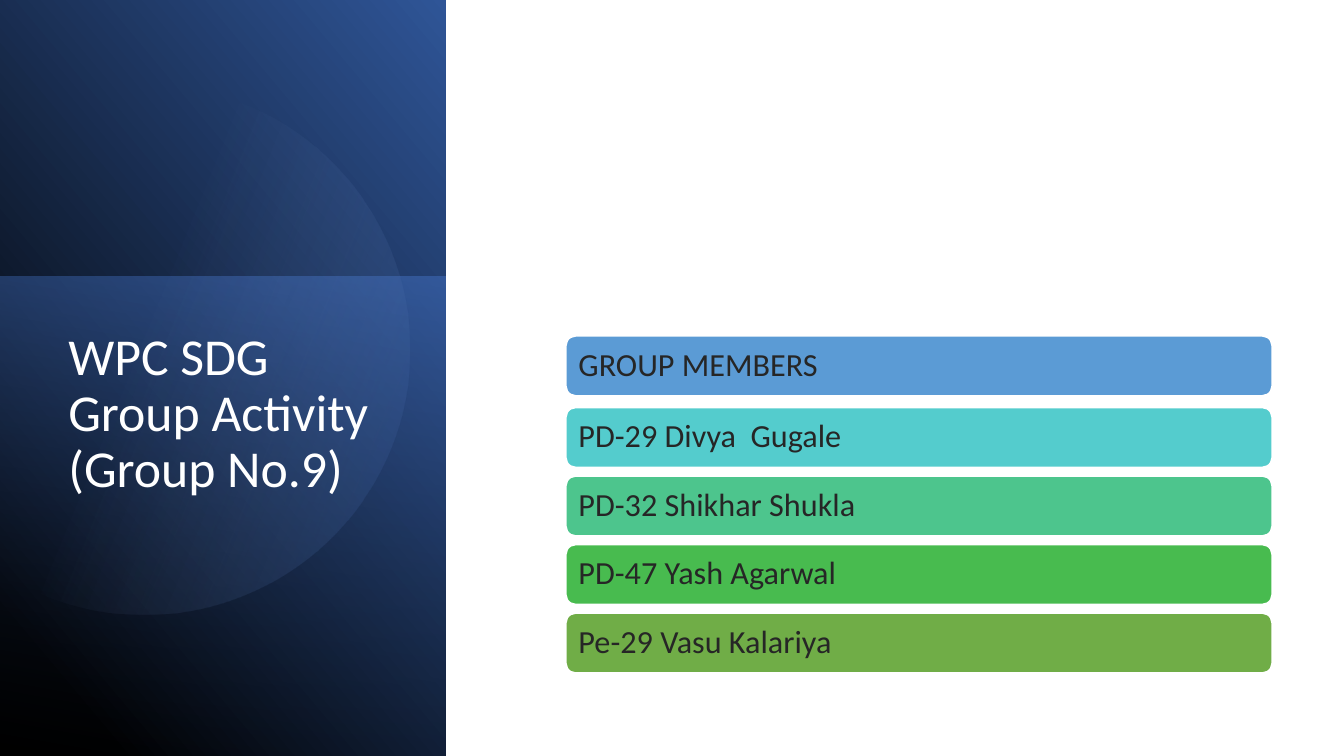
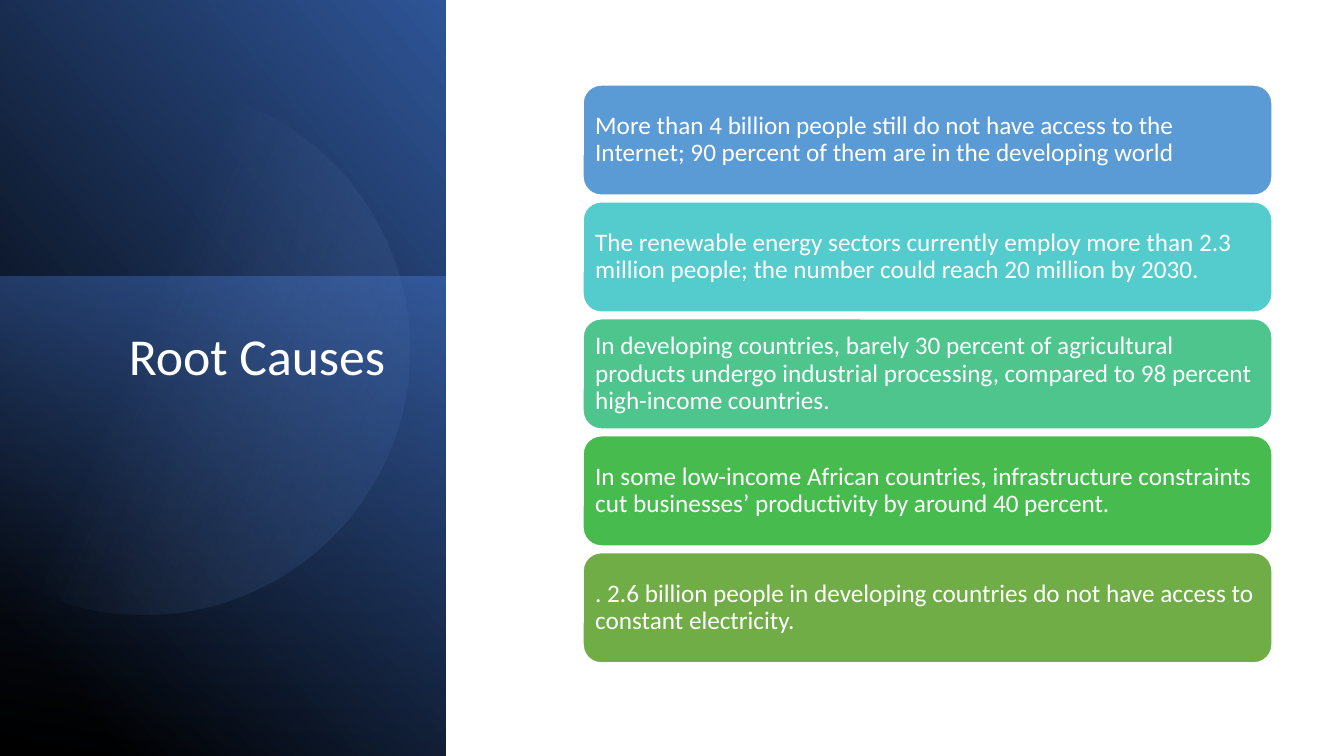
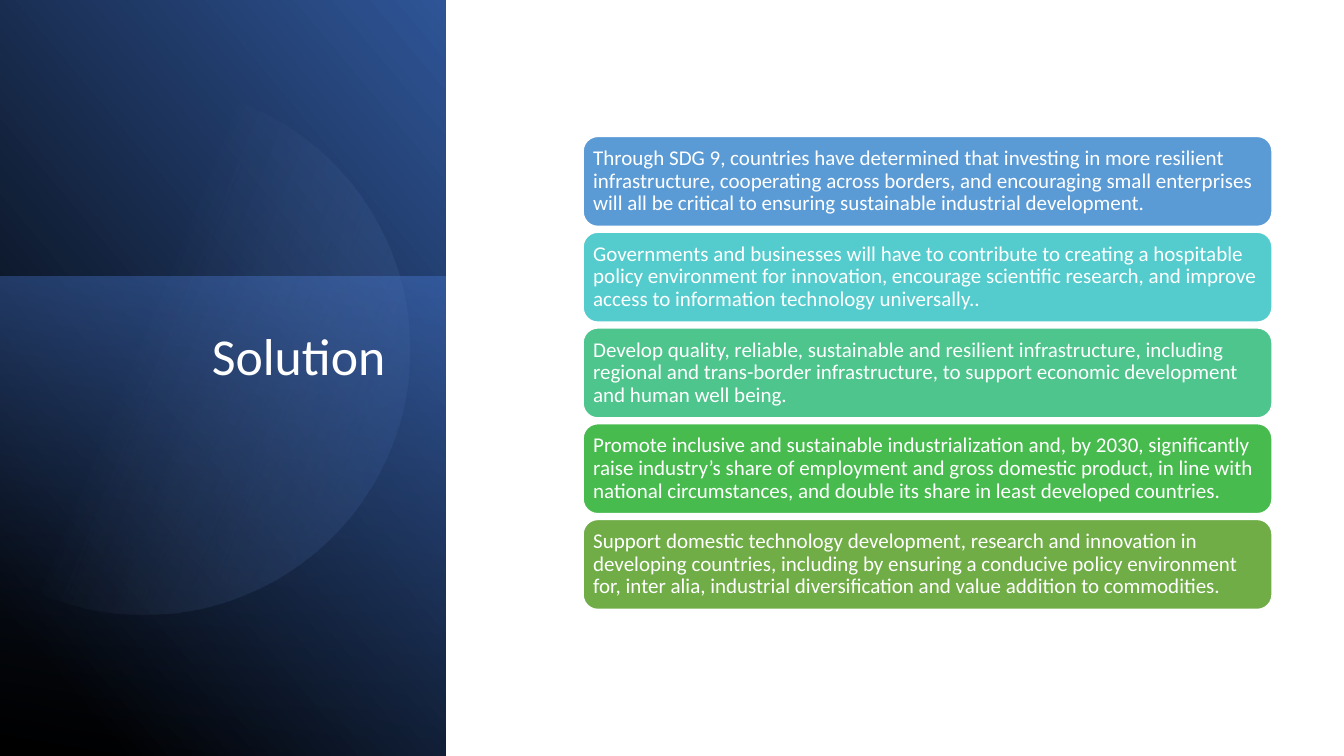
from dataclasses import dataclass
from math import acos, cos, sin

from lxml.etree import SubElement
from pptx import Presentation
from pptx.dml.color import RGBColor as RGB
from pptx.enum.shapes import MSO_SHAPE as Kind
from pptx.enum.text import MSO_ANCHOR as Anchor, PP_ALIGN as Align
from pptx.oxml.ns import qn
from pptx.shapes.autoshape import Shape
from pptx.slide import Slide
from pptx.text.text import TextFrame
from pptx.util import Emu, Pt

SCALE = 9144  # EMU per px, 100 px to the inch
FONT = "Calibri"

WHITE = RGB(0xFF, 0xFF, 0xFF)
BLACK = RGB(0x00, 0x00, 0x00)
INK = RGB(0x26, 0x26, 0x26)
NAVY = RGB(0x20, 0x38, 0x64)
DEEP = RGB(0x2F, 0x55, 0x97)
BLUE = RGB(0x44, 0x72, 0xC4)
PALE = RGB(0x8F, 0xAA, 0xDC)
BARS = (
    RGB(0x5B, 0x9B, 0xD5),
    RGB(0x54, 0xCC, 0xCD),
    RGB(0x4D, 0xC5, 0x8D),
    RGB(0x48, 0xBB, 0x4F),
    RGB(0x70, 0xAD, 0x47),
)


@dataclass(frozen=True)
class Stop:
    place: float
    color: RGB
    alpha: int = 100


@dataclass(frozen=True)
class Fade:
    """A linear gradient; the angle runs counter-clockwise."""
    angle: int
    start: Stop
    end: Stop


@dataclass(frozen=True)
class Pane:
    box: tuple[int, int, int, int]
    turn: int
    flip: bool
    fade: Fade


@dataclass(frozen=True)
class Stack:
    """Equal bars, with an extra gap (lead) after the first one."""
    left: int
    top: int
    width: int
    height: int
    pitch: int
    inset: int
    size: int
    ink: RGB = WHITE
    lead: int = 0


@dataclass(frozen=True)
class Page:
    title: str
    align: Align
    stack: Stack
    items: tuple[str, ...]


PANES = (
    Pane((-155, 155, 752, 442), 90, True,
         Fade(50, Stop(0.11, BLACK), Stop(1, DEEP))),
    Pane((-17, 291, 476, 442), 270, False,
         Fade(170, Stop(0, BLUE, 50), Stop(1, NAVY, 0))),
)
GLOW = Fade(338, Stop(0.39, PALE, 0), Stop(1, DEEP, 26))

PAGES = (
    Page(
        "WPC SDG Group Activity\n(Group No.9)", Align.LEFT,
        Stack(561, 333, 701, 60, 68, 10, 23, INK, 3),
        (
            "GROUP MEMBERS",
            "PD-29 Divya  Gugale",
            "PD-32 Shikhar Shukla",
            "PD-47 Yash Agarwal",
            "Pe-29 Vasu Kalariya",
        ),
    ),
    Page(
        "Root Causes", Align.RIGHT,
        Stack(578, 84, 684, 110, 116, 7, 18),
        (
            "More than 4 billion people still do not have access to the "
            "Internet; 90 percent of them are in the developing world",
            "The renewable energy sectors currently employ more than 2.3 "
            "million people; the number could reach 20 million by 2030.",
            "In developing countries, barely 30 percent of agricultural "
            "products undergo industrial processing, compared to 98 percent "
            "high-income countries.",
            "In some low-income African countries, infrastructure constraints "
            "cut businesses’ productivity by around 40 percent.",
            ". 2.6 billion people in developing countries do not have access "
            "to constant electricity.",
        ),
    ),
    Page(
        "Solution", Align.RIGHT,
        Stack(578, 135, 684, 90, 95, 6, 15),
        (
            "Through SDG 9, countries have determined that investing in more "
            "resilient infrastructure, cooperating across borders, and "
            "encouraging small enterprises will all be critical to ensuring "
            "sustainable industrial development.",
            "Governments and businesses will have to contribute to creating a "
            "hospitable policy environment for innovation, encourage "
            "scientific research, and improve access to information "
            "technology universally..",
            "Develop quality, reliable, sustainable and resilient "
            "infrastructure, including regional and trans-border "
            "infrastructure, to support economic development and human well "
            "being.",
            "Promote inclusive and sustainable industrialization and, by "
            "2030, significantly raise industry’s share of employment and "
            "gross domestic product, in line with national circumstances, and "
            "double its share in least developed countries.",
            "Support domestic technology development, research and innovation "
            "in developing countries, including by ensuring a conducive "
            "policy environment for, inter alia, industrial diversification "
            "and value addition to commodities.",
        ),
    ),
)


def px(*values: float) -> list[Emu]:
    return [Emu(round(value * SCALE)) for value in values]


def shade(shape: Shape, fade: Fade) -> None:
    """Give a shape a gradient and neither outline nor shadow."""
    shape.shadow.inherit = False
    shape.line.fill.background()
    shape.fill.gradient()
    shape.fill.gradient_angle = fade.angle
    stops = (fade.start, fade.end)
    for mark, stop in zip(shape.fill.gradient_stops, stops):
        mark.position = stop.place
        mark.color.rgb = stop.color
    tints = shape.fill._xPr.iter(qn("a:srgbClr"))
    for tint, stop in zip(list(tints), stops):
        if stop.alpha < 100:
            SubElement(tint, qn("a:alpha"), val=str(stop.alpha * 1000))


def write(frame: TextFrame, text: str, size: int, ink: RGB,
          align: Align) -> None:
    frame.word_wrap = True
    frame.text = text
    for para in frame.paragraphs:
        para.alignment = align
        para.line_spacing = 0.9
        for run in para.runs:
            run.font.name = FONT
            run.font.size = Pt(size)
            run.font.color.rgb = ink


def add_disc(slide: Slide) -> None:
    """Draw the glowing disc, cut off at the left slide edge."""
    mid_x, mid_y, radius, steps = 143, 347, 263, 90
    edge = acos(-mid_x / radius)
    turns = [edge * (2 * i / steps - 1) for i in range(steps + 1)]
    first, *rest = [
        px(mid_x + radius * cos(turn), mid_y + radius * sin(turn))
        for turn in turns
    ]
    outline = slide.shapes.build_freeform(*first)
    outline.add_line_segments(rest, close=True)
    shade(outline.convert_to_shape(), GLOW)


def add_panel(slide: Slide) -> None:
    for pane in PANES:
        shape = slide.shapes.add_shape(Kind.RECTANGLE, *px(*pane.box))
        shape.rotation = pane.turn
        if pane.flip:
            shape._element.spPr.xfrm.set("flipH", "1")
        shade(shape, pane.fade)
    add_disc(slide)


def add_title(slide: Slide, page: Page) -> None:
    box = slide.shapes.add_textbox(*px(58, 323, 334, 386))
    write(box.text_frame, page.title, 37, WHITE, page.align)


def add_bars(slide: Slide, stack: Stack, items: tuple[str, ...]) -> None:
    for i, (text, color) in enumerate(zip(items, BARS)):
        top = stack.top + i * stack.pitch + (stack.lead if i else 0)
        bar = slide.shapes.add_shape(
            Kind.ROUNDED_RECTANGLE,
            *px(stack.left, top, stack.width, stack.height))
        bar.shadow.inherit = False
        bar.fill.solid()
        bar.fill.fore_color.rgb = color
        bar.line.color.rgb = WHITE
        bar.line.width = Pt(1.5)
        frame = bar.text_frame
        frame.vertical_anchor = Anchor.MIDDLE
        inset, = px(stack.inset)
        frame.margin_left = frame.margin_right = inset
        frame.margin_top = frame.margin_bottom = inset
        write(frame, text, stack.size, stack.ink, Align.LEFT)


def main() -> None:
    deck = Presentation()
    deck.slide_width, deck.slide_height = px(1333, 750)
    blank = deck.slide_layouts[6]
    for page in PAGES:
        slide = deck.slides.add_slide(blank)
        add_panel(slide)
        add_title(slide, page)
        add_bars(slide, page.stack, page.items)
    deck.save("out.pptx")


if __name__ == "__main__":
    main()
